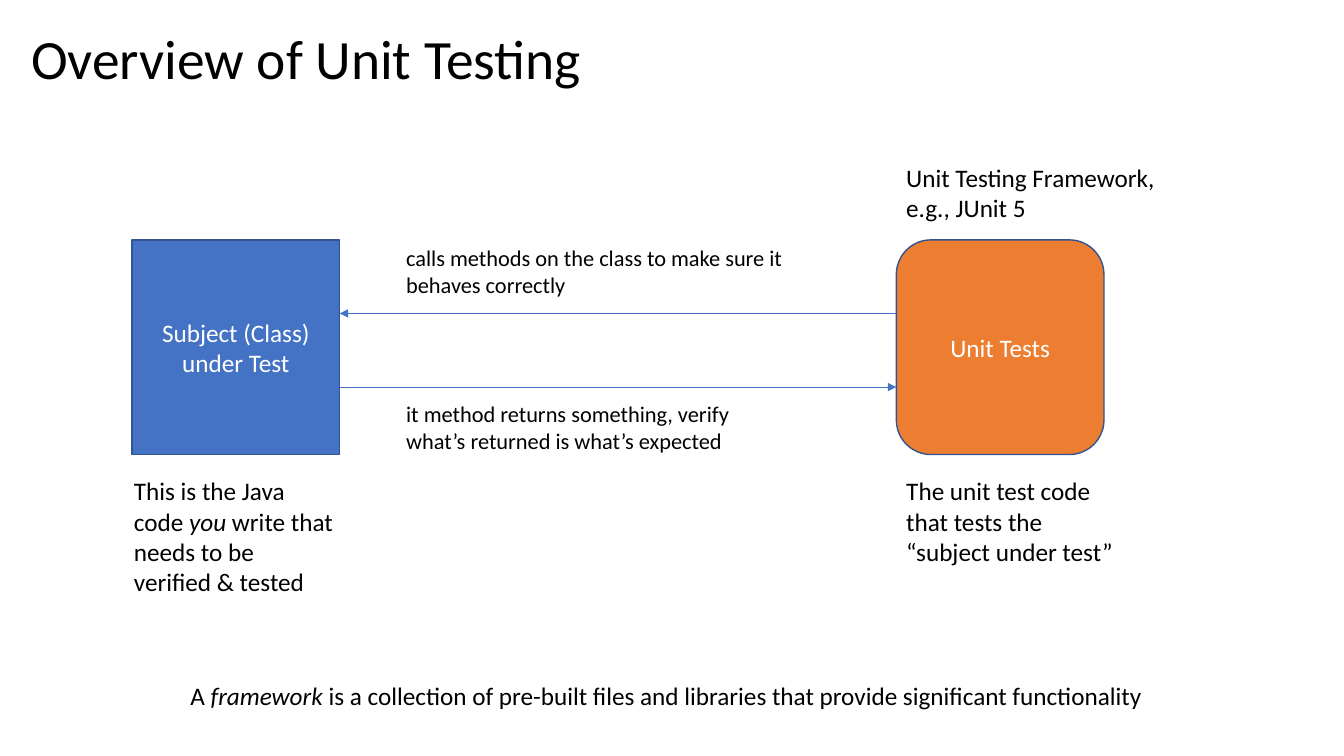
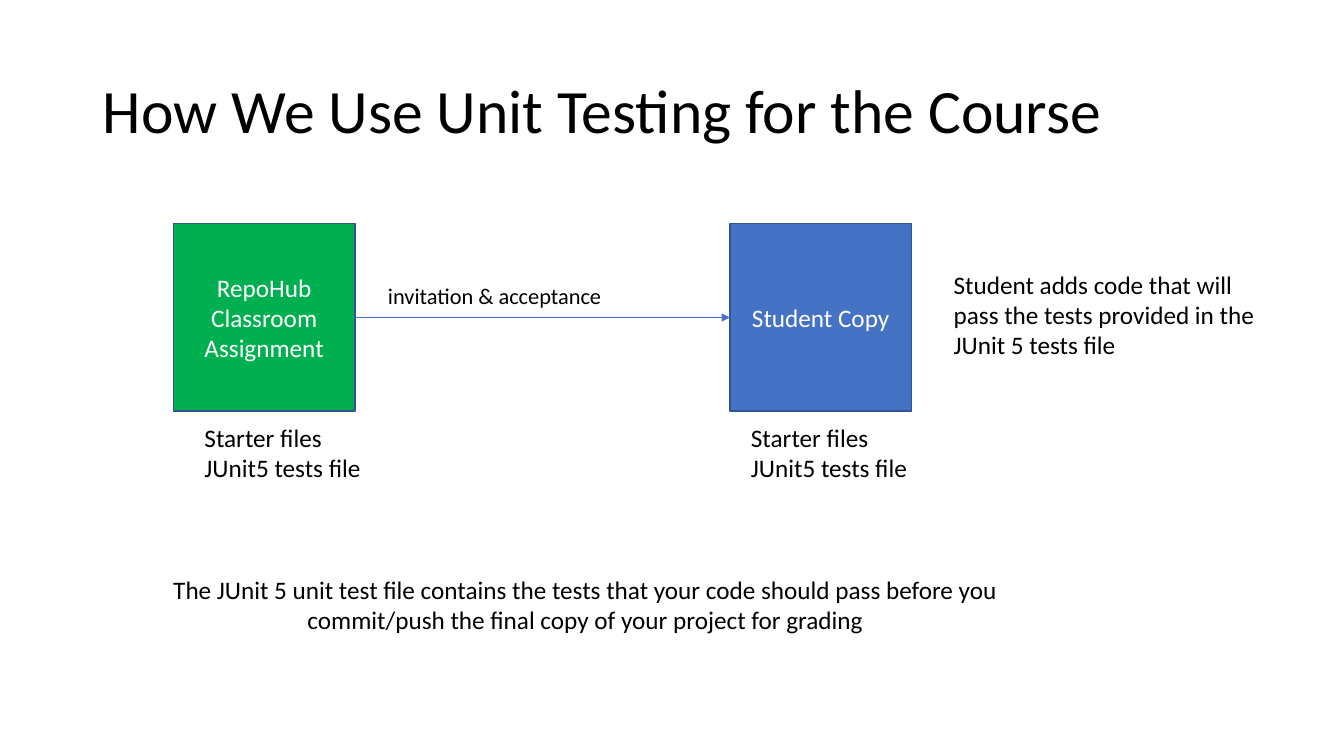
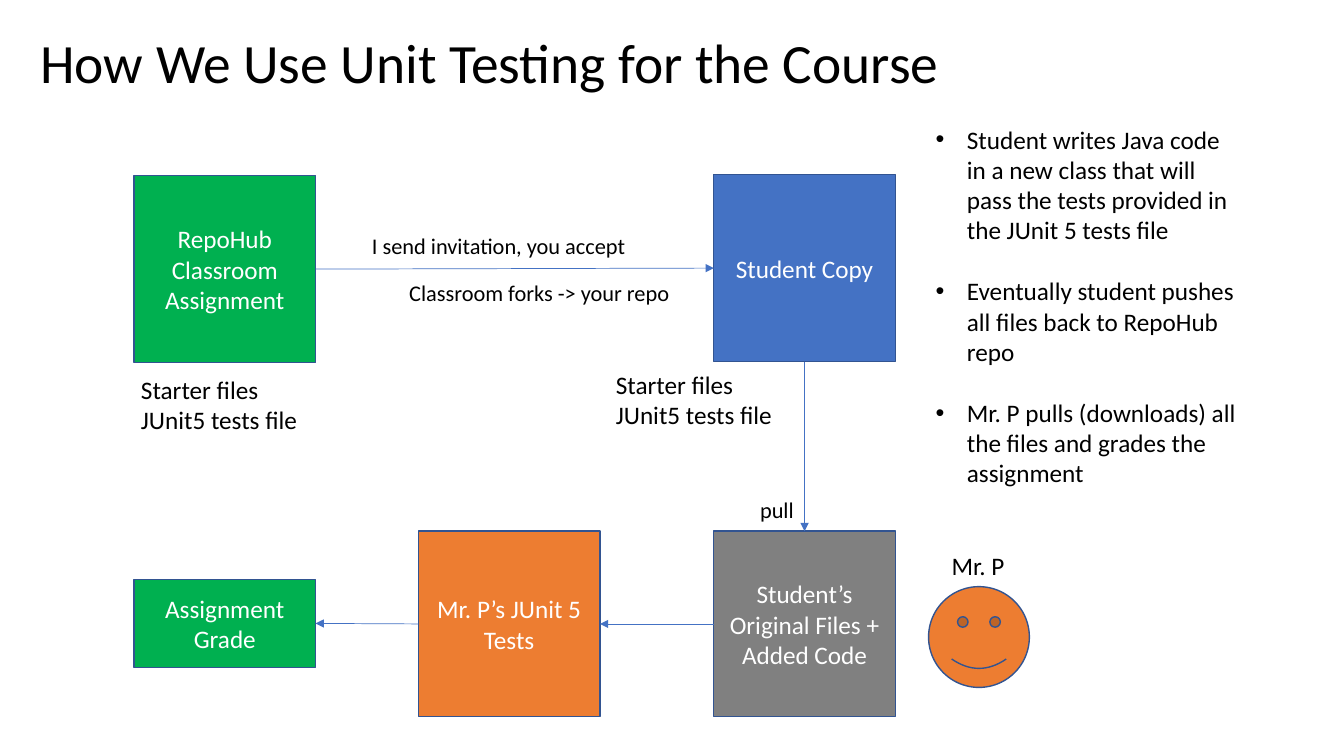
"""Build three slides on unit testing for a programming course."""
import pptx
import pptx.util
import pptx.dml.color
import pptx.enum.shapes
import pptx.enum.text
import pptx.oxml

Inches = pptx.util.Inches
Pt = pptx.util.Pt
RGB = pptx.dml.color.RGBColor
KIND = pptx.enum.shapes.MSO_SHAPE
ALIGN = pptx.enum.text.PP_ALIGN
ANCHOR = pptx.enum.text.MSO_ANCHOR
FIT = pptx.enum.text.MSO_AUTO_SIZE

BLACK = RGB(0x00, 0x00, 0x00)
WHITE = RGB(0xFF, 0xFF, 0xFF)
BLUE = RGB(0x44, 0x72, 0xC4)
NAVY = RGB(0x32, 0x54, 0x91)
ORANGE = RGB(0xED, 0x7D, 0x31)
GREEN = RGB(0x00, 0xB0, 0x50)
GRAY = RGB(0x80, 0x80, 0x80)
FONT = "Calibri"
TOP, LEFT, BOTTOM, RIGHT = range(4)
TITLE_BODY, TITLE_ONLY = 1, 5
RECT, ROUND, SMILE = KIND.RECTANGLE, KIND.ROUNDED_RECTANGLE, KIND.SMILEY_FACE

FILES = "Starter files\nJUnit5 tests file"
TASK = "RepoHub Classroom Assignment"
COURSE = "How We Use Unit Testing for the Course"

# title: text, place, size; boxes: text, place, fill, shape
# notes: text, place, size, wrap, align; underscores mark italics
SLIDES = [
    {
        "title": ("Overview of Unit Testing", (0.21, 0.29, 5.92, 0.64), 39.6),
        "boxes": {
            "class": ("Subject (Class) under Test", (1.31, 2.38, 2.06, 2.13), BLUE, RECT),
            "tests": ("Unit Tests", (8.89, 2.38, 2.06, 2.13), ORANGE, ROUND),
        },
        "lines": [(8.89, 3.11, 3.37, 3.11), (3.37, 3.84, 8.89, 3.84)],
        "notes": [
            ("This is the Java code _you_ write that needs to be verified & tested",
             (1.23, 4.67, 2.21, 1.31), 18, True, ALIGN.LEFT),
            ("The unit test code that tests the “subject under test”",
             (8.89, 4.67, 2.36, 1.01), 18, True, ALIGN.LEFT),
            ("calls methods on the class to make sure it behaves correctly",
             (3.93, 2.37, 3.96, 0.64), 16, True, ALIGN.LEFT),
            ("Unit Testing Framework, e.g., JUnit 5",
             (8.89, 1.56, 2.94, 0.71), 18, True, ALIGN.LEFT),
            ("it method returns something, verify what’s returned is what’s expected",
             (3.93, 3.92, 3.96, 0.64), 16, True, ALIGN.LEFT),
            ("A _framework_ is a collection of pre-built files and libraries "
             "that provide significant functionality",
             (1.79, 6.7, 9.75, 0.4), 18, False, ALIGN.LEFT),
        ],
    },
    {
        "title": (COURSE, (0.92, 0.4, 11.5, 1.45), 44),
        "boxes": {
            "task": (TASK, (1.72, 2.22, 1.8, 1.86), GREEN, RECT),
            "work": ("Student Copy", (7.24, 2.22, 1.8, 1.86), BLUE, RECT),
        },
        "links": [("task", RIGHT, "work", LEFT)],
        "notes": [
            (FILES, (1.93, 4.14, 1.83, 0.71), 18, False, ALIGN.LEFT),
            (FILES, (7.35, 4.14, 1.77, 0.71), 18, False, ALIGN.LEFT),
            ("Student adds code that will pass the tests provided in the JUnit 5 tests file",
             (9.36, 2.62, 3.22, 1.01), 18, True, ALIGN.LEFT),
            ("invitation & acceptance", (3.75, 2.75, 2.34, 0.37), 16, False, ALIGN.LEFT),
            ("The JUnit 5 unit test file contains the tests that your code should pass "
             "before you commit/push the final copy of your project for grading",
             (1.42, 5.65, 8.77, 0.71), 18, True, ALIGN.CENTER),
        ],
    },
    {
        "title": (COURSE, (0.3, 0.3, 11.5, 0.71), 39.6),
        "boxes": {
            "task": (TASK, (1.33, 1.74, 1.8, 1.86), GREEN, RECT),
            "work": ("Student Copy", (7.08, 1.73, 1.8, 1.86), BLUE, RECT),
            "code": ("Student’s Original Files + Added Code",
                     (7.08, 5.27, 1.8, 1.84), GRAY, RECT),
            "tests": ("Mr. P’s JUnit 5 Tests", (4.15, 5.27, 1.8, 1.84), ORANGE, RECT),
            "grade": ("Assignment Grade", (1.33, 5.75, 1.8, 0.87), GREEN, RECT),
            "face": ("", (9.21, 5.82, 1, 1), ORANGE, SMILE),
        },
        "links": [
            ("task", RIGHT, "work", LEFT),
            ("work", BOTTOM, "code", TOP),
            ("code", LEFT, "tests", RIGHT),
            ("tests", LEFT, "grade", RIGHT),
        ],
        "notes": [
            (FILES, (1.3, 3.66, 1.83, 0.71), 18, False, ALIGN.LEFT),
            (FILES, (6.01, 3.61, 1.77, 0.71), 18, False, ALIGN.LEFT),
            ("I send invitation, you accept", (3.59, 2.25, 2.75, 0.37), 16, False, ALIGN.LEFT),
            ("Classroom forks -> your repo", (3.96, 2.72, 2.82, 0.37), 16, False, ALIGN.LEFT),
            ("pull", (7.44, 4.87, 0.54, 0.37), 16, False, ALIGN.LEFT),
            ("Mr. P", (9.34, 5.41, 0.73, 0.4), 18, False, ALIGN.LEFT),
        ],
        "list": ("Student writes Java code in a new class that will pass the tests "
                 "provided in the JUnit 5 tests file\n"
                 "Eventually student pushes all files back to RepoHub repo\n"
                 "Mr. P pulls (downloads) all the files and grades the assignment",
                 (9.18, 1.18, 3.22, 3.74)),
    },
]


def write(frame, text, size, color=BLACK, align=ALIGN.LEFT):
    """Fill a frame with paragraphs, run by run."""
    for num, row in enumerate(text.split("\n")):
        para = frame.add_paragraph() if num else frame.paragraphs[0]
        para.alignment = align
        for part, words in enumerate(row.split("_")):
            run = para.add_run()
            run.text = words
            run.font.name = FONT
            run.font.size = Pt(size)
            run.font.color.rgb = color
            if part % 2:
                run.font.italic = True


def place(shape, spot):
    """Move and size a placeholder."""
    shape.left, shape.top, shape.width, shape.height = map(Inches, spot)
    shape.text_frame.auto_size = FIT.NONE


def add_title(slide, text, spot, size):
    """Set the slide title."""
    title = slide.shapes.title
    place(title, spot)
    title.text_frame.vertical_anchor = ANCHOR.MIDDLE
    write(title.text_frame, text, size)
    title.text_frame.paragraphs[0].line_spacing = 0.9


def add_box(slide, text, spot, fill, kind):
    """Draw a filled box with centred white text."""
    box = slide.shapes.add_shape(kind, *map(Inches, spot))
    box.shadow.inherit = False
    box.fill.solid()
    box.fill.fore_color.rgb = fill
    box.line.color.rgb = NAVY
    box.line.width = Pt(1)
    if text:
        box.text_frame.word_wrap = True
        box.text_frame.vertical_anchor = ANCHOR.MIDDLE
        write(box.text_frame, text, 18, WHITE, ALIGN.CENTER)
    return box


def add_note(slide, text, spot, size, wrap, align):
    """Add a plain text box."""
    frame = slide.shapes.add_textbox(*map(Inches, spot)).text_frame
    frame.word_wrap = wrap
    frame.auto_size = FIT.SHAPE_TO_FIT_TEXT
    write(frame, text, size, align=align)


def add_arrow(slide, ends):
    """Draw a thin arrow between two points."""
    arrow = slide.shapes.add_connector(
        pptx.enum.shapes.MSO_CONNECTOR.STRAIGHT, *map(Inches, ends))
    arrow.line.color.rgb = BLUE
    arrow.line.width = Pt(0.5)
    head = pptx.oxml.parse_xml(
        '<a:tailEnd xmlns:a="http://schemas.openxmlformats.org/drawingml/2006/main"'
        ' type="triangle"/>')
    arrow.line._get_or_add_ln().append(head)
    flat = pptx.oxml.parse_xml(
        '<a:effectLst xmlns:a="http://schemas.openxmlformats.org/drawingml/2006/main"/>')
    arrow._element.spPr.append(flat)
    return arrow


def add_list(slide, text, spot):
    """Fill the body placeholder with spaced bullets."""
    body = slide.placeholders[1]
    place(body, spot)
    write(body.text_frame, text, 18)
    for num, para in enumerate(body.text_frame.paragraphs):
        para.space_before = Pt(22 if num else 0)
        props = para._p.get_or_add_pPr()
        props.set("marL", str(Inches(0.31)))
        props.set("indent", str(-Inches(0.31)))


def build(deck, data):
    """Build one slide from its content."""
    layout = TITLE_BODY if "list" in data else TITLE_ONLY
    slide = deck.slides.add_slide(deck.slide_layouts[layout])
    add_title(slide, *data["title"])
    boxes = {name: add_box(slide, *box) for name, box in data["boxes"].items()}
    for ends in data.get("lines", []):
        add_arrow(slide, ends)
    for start, out, end, into in data.get("links", []):
        arrow = add_arrow(slide, (0, 0, 0, 0))
        arrow.begin_connect(boxes[start], out)
        arrow.end_connect(boxes[end], into)
    for note in data["notes"]:
        add_note(slide, *note)
    if "list" in data:
        add_list(slide, *data["list"])


deck = pptx.Presentation()
deck.slide_width, deck.slide_height = Inches(13.33), Inches(7.5)
for data in SLIDES:
    build(deck, data)
deck.save("out.pptx")
